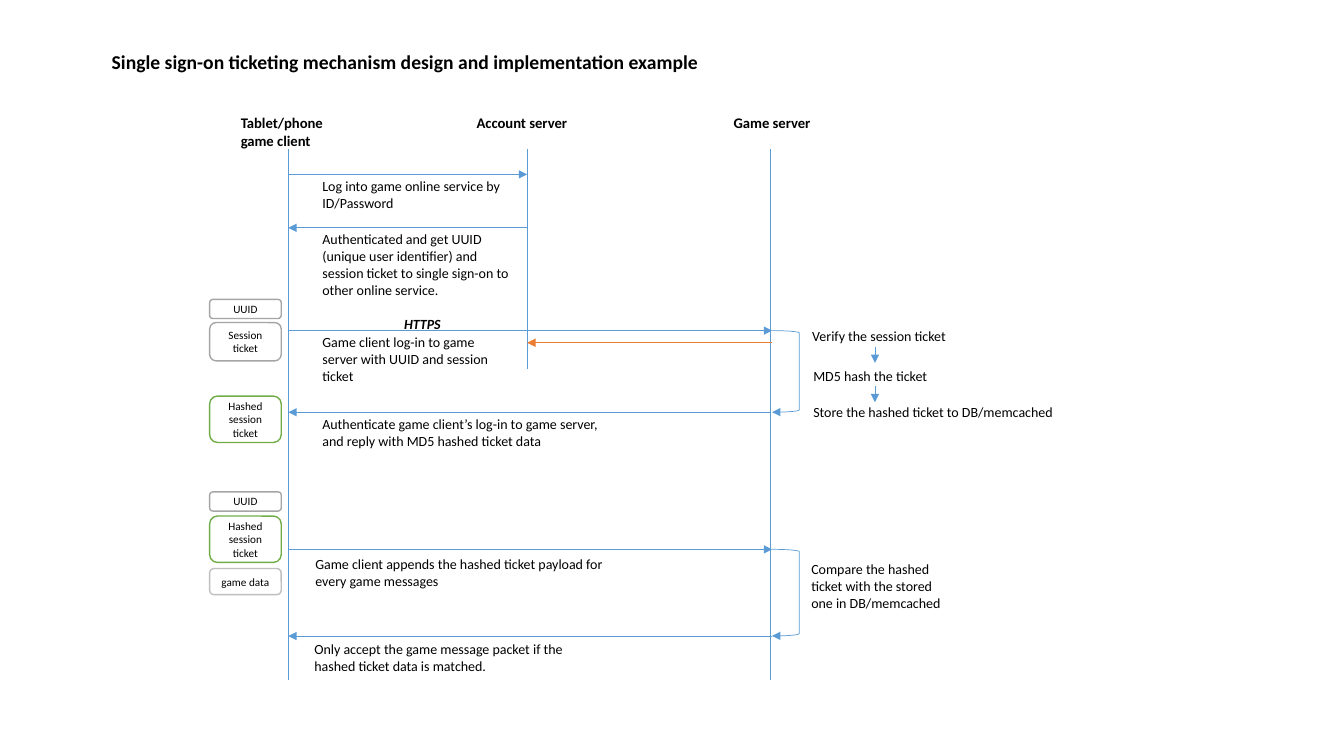
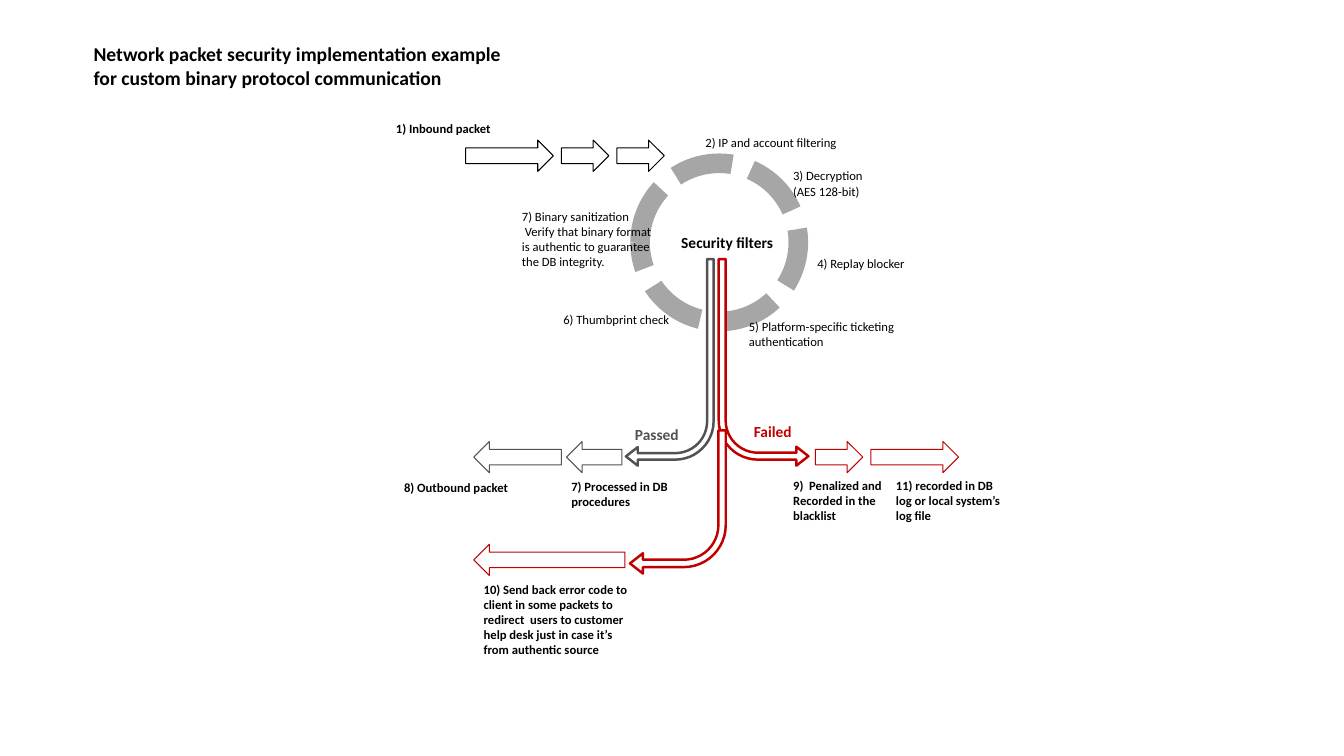
from dataclasses import dataclass
from typing import NamedTuple, Optional

from lxml.etree import SubElement
from pptx import Presentation
from pptx.dml.color import RGBColor
from pptx.enum.dml import MSO_LINE
from pptx.enum.shapes import MSO_CONNECTOR, MSO_SHAPE
from pptx.enum.text import MSO_ANCHOR, PP_ALIGN
from pptx.oxml.ns import qn
from pptx.util import Inches, Pt


@dataclass(frozen=True)
class Theme:
    font: str = "Calibri"
    black: str = "000000"
    white: str = "FFFFFF"
    blue: str = "5B9BD5"
    orange: str = "ED7D31"
    green: str = "70AD47"
    gray: str = "A5A5A5"
    light: str = "BFBFBF"
    ring: str = "A6A6A6"
    dark: str = "525252"
    red: str = "C00000"
    title: float = 14
    outcome: float = 11
    actor: float = 10.5
    message: float = 10
    label: float = 9
    token: float = 8
    hair: float = 0.5
    thin: float = 0.75
    outline: float = 1
    bold_line: float = 1.75
    ring_line: float = 14


T = Theme()
COLS, ROWS = 133.33, 75
CELL = 0.1
CLIENT, ACCOUNT, GAME = 28.6, 52.3, 76.4
TOKEN_X, TOKEN_W = 20.8, 7.1
ARROW_H = 3.1


class Box(NamedTuple):
    x: float
    y: float
    w: float
    h: float


@dataclass(frozen=True)
class Label:
    text: str
    box: Box
    bold: bool = False
    size: float = T.label
    color: str = T.black
    italic: bool = False


@dataclass(frozen=True)
class Lifeline:
    name: str
    x: float
    bottom: float
    label_x: float
    label_w: float


@dataclass(frozen=True)
class Message:
    start: float
    end: float
    y: float
    text: str = ""
    text_x: float = 31
    text_w: float = 21.2
    drop: float = -0.2
    color: str = T.blue


@dataclass(frozen=True)
class Token:
    text: str
    y: float
    h: float
    color: str = T.gray


@dataclass(frozen=True)
class Arrow:
    x: float
    y: float
    w: float
    color: str = T.black
    flip: str = ""


@dataclass(frozen=True)
class Bend:
    box: Box
    color: str
    flip: str
    shaft: float = 0.077


LIFELINES = (
    Lifeline("Tablet/phone\ngame client", CLIENT, 67.5, 22.9, 11.5),
    Lifeline("Account server", ACCOUNT, 36.6, 46.3, 12),
    Lifeline("Game server", GAME, 67.5, 71.8, 11),
)

MESSAGES = (
    Message(CLIENT, ACCOUNT, 17.3, "Log into game online service by ID/Password"),
    Message(ACCOUNT, CLIENT, 22.6,
            "Authenticated and get UUID (unique user identifier) and session "
            "ticket to single sign-on to other online service."),
    Message(CLIENT, GAME + 0.2, 32.8,
            "Game client log-in to game server with UUID and session ticket", text_w=19.5),
    Message(GAME + 0.2, ACCOUNT, 34, color=T.orange),
    Message(GAME, CLIENT, 40.9,
            "Authenticate game client’s log-in to game server, and reply with MD5 "
            "hashed ticket data", text_w=31.3),
    Message(CLIENT, GAME + 0.2, 54.5,
            "Game client appends the hashed ticket payload for every game messages",
            30.3, 31.2, 0.1),
    Message(GAME + 0.2, CLIENT, 63.1,
            "Only accept the game message packet if the hashed ticket data is matched.",
            30.2, 29.7, 0),
)

TOKENS = (
    Token("UUID", 29.7, 1.9),
    Token("Session ticket", 32, 3.8),
    Token("Hashed session ticket", 39.3, 4.6, T.green),
    Token("UUID", 48.8, 1.9),
    Token("Hashed session ticket", 51.2, 4.6, T.green),
    Token("game data", 56.4, 2.6, T.light),
)

SERVER_LOOPS = ((32.8, 8.1), (54.5, 8.6))
STEP_ARROWS = (34.4, 38.3)

SIGN_ON_LABELS = (
    Label("Single sign-on ticketing mechanism design and implementation example",
          Box(10.1, 4.5, 64, 3.4), True, T.title),
    Label("HTTPS", Box(39.1, 30.8, 7, 2.7), True, T.message, italic=True),
    Label("Verify the session ticket", Box(79.6, 32, 18, 2.7), size=T.message),
    Label("MD5 hash the ticket", Box(79.7, 36, 16, 2.7), size=T.message),
    Label("Store the hashed ticket to DB/memcached", Box(79.7, 39.5, 28, 2.7), size=T.message),
    Label("Compare the hashed ticket with the stored one in DB/memcached",
          Box(79.5, 55.1, 15.8, 6.1), size=T.message),
)

RING = Box(63.5, 16.2, 15.7, 15.7)

ARROWS = (
    Arrow(46.2, 13.9, 8.7),
    Arrow(55.7, 13.9, 4.7),
    Arrow(61.2, 13.9, 4.7),
    Arrow(56.2, 43.8, 5.5, T.dark, "H"),
    Arrow(47, 43.8, 8.7, T.dark, "H"),
    Arrow(80.9, 43.8, 4.7, T.red),
    Arrow(86.4, 43.8, 8.7, T.red),
    Arrow(47, 54, 15, T.red, "H"),
)

BENDS = (
    Bend(Box(62.1, 25.7, 8.7, 20.5), T.dark, "HV", 0.074),
    Bend(Box(71.3, 25.7, 8.9, 20.5), T.red, "V"),
    Bend(Box(62.5, 42.7, 9.5, 14.2), T.red, "HV"),
)

PACKET_LABELS = (
    Label("Network packet security implementation example for custom binary "
          "protocol communication", Box(8.3, 3.7, 44.4, 5.7), True, T.title),
    Label("1) Inbound packet", Box(38.3, 11.5, 12.6, 2.5), True),
    Label("2) IP and account filtering", Box(69, 12.9, 15.7, 2.5)),
    Label("3) Decryption\n(AES 128-bit)", Box(77.7, 16.2, 11, 4)),
    Label("4) Replay blocker", Box(80.1, 24.9, 11, 2.5)),
    Label("5) Platform-specific ticketing authentication", Box(73.3, 31.1, 18.1, 4)),
    Label("6) Thumbprint check", Box(54.9, 30.4, 12.6, 2.5)),
    Label("7) Binary sanitization\n Verify that binary format is authentic to "
          "guarantee the DB integrity.", Box(50.8, 20.2, 15.7, 7.1)),
    Label("Security filters", Box(66.6, 22.6, 13.4, 2.9), True, T.outcome),
    Label("Passed", Box(62, 41.7, 7.3, 2.9), True, T.outcome, T.dark),
    Label("Failed", Box(73.8, 41.4, 6.3, 2.9), True, T.outcome, T.red),
    Label("7) Processed in DB procedures", Box(55.7, 47, 12.6, 4), True),
    Label("8) Outbound packet", Box(39.1, 47.1, 12.6, 2.5), True),
    Label("9)  Penalized and Recorded in the blacklist", Box(77.7, 46.9, 11.8, 5.6), True),
    Label("10) Send back error code to client in some packets to redirect  users to "
          "customer help desk just in case it’s from authentic source",
          Box(47, 57.2, 17.3, 8.6), True),
    Label("11) recorded in DB log or local system’s log file",
          Box(87.9, 46.9, 12.6, 5.6), True),
)


def cells(*values: float) -> list:
    return [Inches(v * CELL) for v in values]


def rgb(color: str) -> RGBColor:
    return RGBColor.from_string(color)


def put_text(tf, text: str, *, size: float, color: str = T.black, bold: bool = False,
             italic: bool = False, align: PP_ALIGN = PP_ALIGN.LEFT,
             anchor: MSO_ANCHOR = MSO_ANCHOR.TOP) -> None:
    tf.word_wrap = True
    tf.vertical_anchor = anchor
    for i, line in enumerate(text.split("\n")):
        p = tf.paragraphs[0] if i == 0 else tf.add_paragraph()
        p.alignment = align
        r = p.add_run()
        r.text = line
        r.font.name = T.font
        r.font.size = Pt(size)
        r.font.bold = bold
        r.font.italic = italic
        r.font.color.rgb = rgb(color)


def add_label(s, label: Label) -> None:
    tf = s.shapes.add_textbox(*cells(*label.box)).text_frame
    put_text(tf, label.text, size=label.size, color=label.color,
             bold=label.bold, italic=label.italic)


def set_line(sp, color: str, width: float, arrow: bool = False) -> None:
    sp.line.color.rgb = rgb(color)
    sp.line.width = Pt(width)
    if arrow:
        ln = sp._element.spPr.find(qn("a:ln"))
        SubElement(ln, qn("a:tailEnd")).set("type", "triangle")


def add_line(s, x1: float, y1: float, x2: float, y2: float,
             color: str = T.blue, arrow: bool = False) -> None:
    sp = s.shapes.add_connector(MSO_CONNECTOR.STRAIGHT, *cells(x1, y1, x2, y2))
    set_line(sp, color, T.hair, arrow)
    SubElement(sp._element.spPr, qn("a:effectLst"))


def add_outline(s, kind: MSO_SHAPE, box: Box, color: str, width: float, *,
                fill: Optional[str] = T.white, flip: str = "", arrow: bool = False):
    sp = s.shapes.add_shape(kind, *cells(*box))
    if fill:
        sp.fill.solid()
        sp.fill.fore_color.rgb = rgb(fill)
    else:
        sp.fill.background()
    set_line(sp, color, width, arrow)
    sp.shadow.inherit = False
    for axis in flip:
        sp._element.spPr.find(qn("a:xfrm")).set(f"flip{axis}", "1")
    return sp


def build_sign_on(s) -> None:
    for life in LIFELINES:
        add_line(s, life.x, 14.8, life.x, life.bottom)
        add_label(s, Label(life.name, Box(life.label_x, 10.8, life.label_w, 4.7),
                           True, T.actor))
    for m in MESSAGES:
        add_line(s, m.start, m.y, m.end, m.y, m.color, arrow=True)
        if m.text:
            add_label(s, Label(m.text, Box(m.text_x, m.y + m.drop, m.text_w, 4.4),
                               size=T.message))
    for y, h in SERVER_LOOPS:
        add_outline(s, MSO_SHAPE.RIGHT_BRACKET, Box(GAME + 0.2, y, 2.7, h),
                    T.blue, T.hair, fill=None, arrow=True)
    for y in STEP_ARROWS:
        add_line(s, 86.8, y, 86.8, y + 1.6, arrow=True)
    for token in TOKENS:
        sp = add_outline(s, MSO_SHAPE.ROUNDED_RECTANGLE,
                         Box(TOKEN_X, token.y, TOKEN_W, token.h), token.color, T.outline)
        put_text(sp.text_frame, token.text, size=T.token, align=PP_ALIGN.CENTER,
                 anchor=MSO_ANCHOR.MIDDLE)
    for label in SIGN_ON_LABELS:
        add_label(s, label)


def build_packet(s) -> None:
    ring = add_outline(s, MSO_SHAPE.OVAL, RING, T.ring, T.ring_line)
    ring.line.dash_style = MSO_LINE.SQUARE_DOT
    for a in ARROWS:
        add_outline(s, MSO_SHAPE.RIGHT_ARROW, Box(a.x, a.y, a.w, ARROW_H),
                    a.color, T.thin, flip=a.flip)
    for b in BENDS:
        sp = add_outline(s, MSO_SHAPE.BENT_ARROW, b.box, b.color, T.bold_line, flip=b.flip)
        for i, value in enumerate((b.shaft, 0.106, 0.135, 0.438)):
            sp.adjustments[i] = value
    for label in PACKET_LABELS:
        add_label(s, label)


def main() -> None:
    prs = Presentation()
    prs.slide_width, prs.slide_height = cells(COLS, ROWS)
    for build in (build_sign_on, build_packet):
        build(prs.slides.add_slide(prs.slide_layouts[6]))
    prs.save("out.pptx")


if __name__ == "__main__":
    main()
